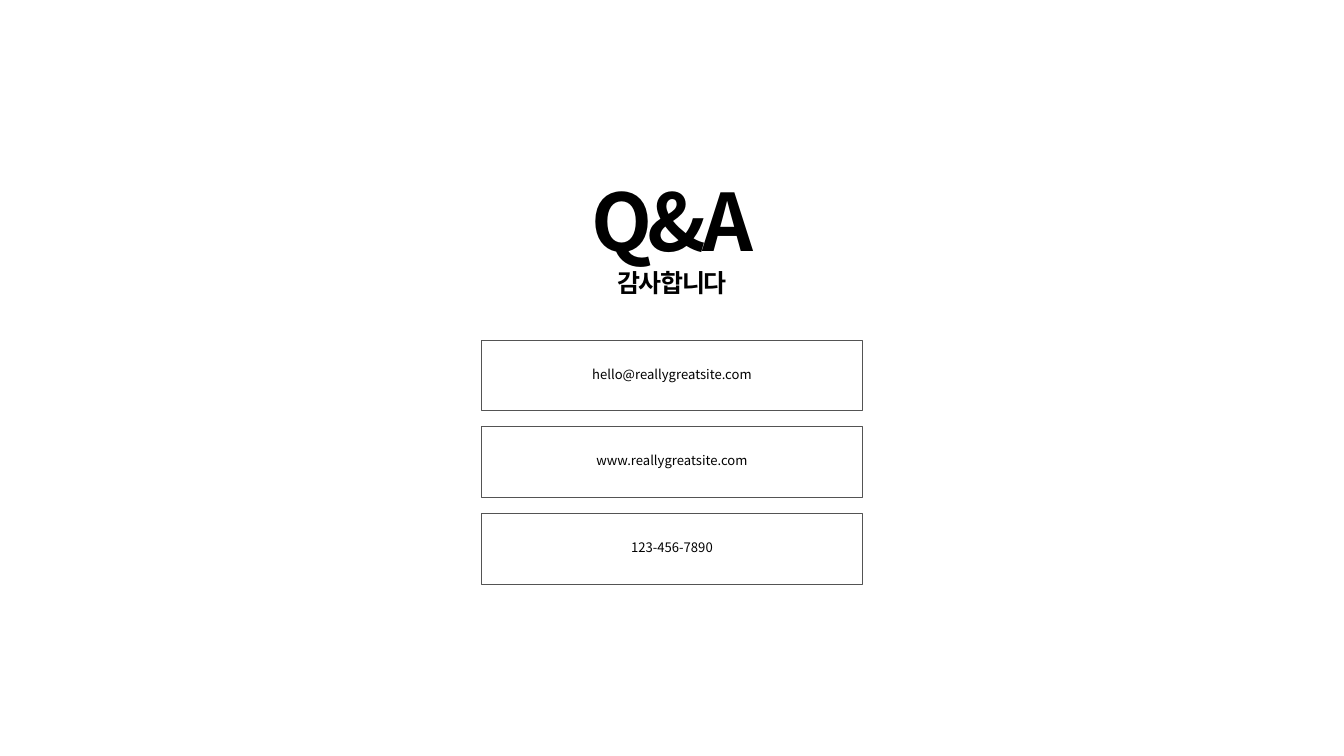
from pptx import Presentation
from pptx.dml.color import RGBColor
from pptx.enum.shapes import MSO_SHAPE
from pptx.enum.text import MSO_ANCHOR, MSO_AUTO_SIZE, PP_ALIGN
from pptx.oxml.ns import qn
from pptx.util import Inches, Pt

COLORS = {"paper": "FFFFFF", "ink": "000000", "border": "545454"}
COLUMNS, ROWS = 20, 11.25
CONTACTS = ["hello@reallygreatsite.com", "www.reallygreatsite.com", "123-456-7890"]


class SlideBuilder:
    font = "Noto Sans CJK KR"

    def __init__(self, prs):
        self.column = prs.slide_width / COLUMNS
        self.row = prs.slide_height / ROWS
        self.s = prs.slides.add_slide(prs.slide_layouts[5])
        self.s.background.fill.solid()
        self.s.background.fill.fore_color.rgb = self.color("paper")

    def color(self, name):
        return RGBColor.from_string(COLORS[name])

    def centered(self, top, width, height):
        left = (COLUMNS - width) / 2
        return (round(left * self.column), round(top * self.row),
                round(width * self.column), round(height * self.row))

    def set_text(self, sp, text, size, leading, bold=False, spacing=0,
                 anchor=MSO_ANCHOR.TOP, insets=(0, 0, 0, 0)):
        tf = sp.text_frame
        left, top, right, bottom = map(Inches, insets)
        frame = {"word_wrap": True, "auto_size": MSO_AUTO_SIZE.NONE,
                 "vertical_anchor": anchor, "margin_left": left,
                 "margin_top": top, "margin_right": right, "margin_bottom": bottom}
        for name, value in frame.items():
            setattr(tf, name, value)
        p = tf.paragraphs[0]
        paragraph = {"alignment": PP_ALIGN.CENTER, "line_spacing": Pt(leading),
                     "space_before": Pt(0)}
        for name, value in paragraph.items():
            setattr(p, name, value)
        r = p.add_run()
        r.text = text
        for name, value in {"size": Pt(size), "bold": bold, "name": self.font}.items():
            setattr(r.font, name, value)
        r.font.color.rgb = self.color("ink")
        rPr = r._r.get_or_add_rPr()
        rPr.set("spc", str(round(spacing * 100)))
        ea = rPr.makeelement(qn("a:ea"), {"typeface": self.font})
        rPr.find(qn("a:latin")).addnext(ea)

    def title(self, text, top, width, height, **style):
        sp = self.s.shapes.title
        sp.left, sp.top, sp.width, sp.height = self.centered(top, width, height)
        self.set_text(sp, text, **style)

    def label(self, text, top, width, height, **style):
        sp = self.s.shapes.add_textbox(*self.centered(top, width, height))
        self.set_text(sp, text, **style)

    def box(self, text, top, width, height, **style):
        sp = self.s.shapes.add_shape(MSO_SHAPE.RECTANGLE,
                                     *self.centered(top, width, height))
        sp.shadow.inherit = False
        sp.fill.solid()
        sp.fill.fore_color.rgb = self.color("paper")
        sp.line.color.rgb = self.color("border")
        sp.line.width = Pt(0.75)
        self.set_text(sp, text, anchor=MSO_ANCHOR.MIDDLE, **style)


def main():
    prs = Presentation()
    prs.slide_width, prs.slide_height = Inches(20), Inches(11.25)
    slide = SlideBuilder(prs)
    slide.title("Q&A", 2.33, 2.51, 1.58,
                size=84.9, leading=118.8, bold=True, spacing=-4.5)
    slide.label("감사합니다", 3.91, 1.65, 0.51,
                size=26.8, leading=37.5, bold=True, spacing=-1.4)
    box_top, box_height, gap = 5.06, 1.05, 0.24
    for i, contact in enumerate(CONTACTS):
        slide.box(contact, box_top + i * (box_height + gap), 5.68, box_height,
                  size=14, leading=19.6, insets=(0.06, 0.06, 0.06, 0.14))
    prs.save("out.pptx")


if __name__ == "__main__":
    main()
